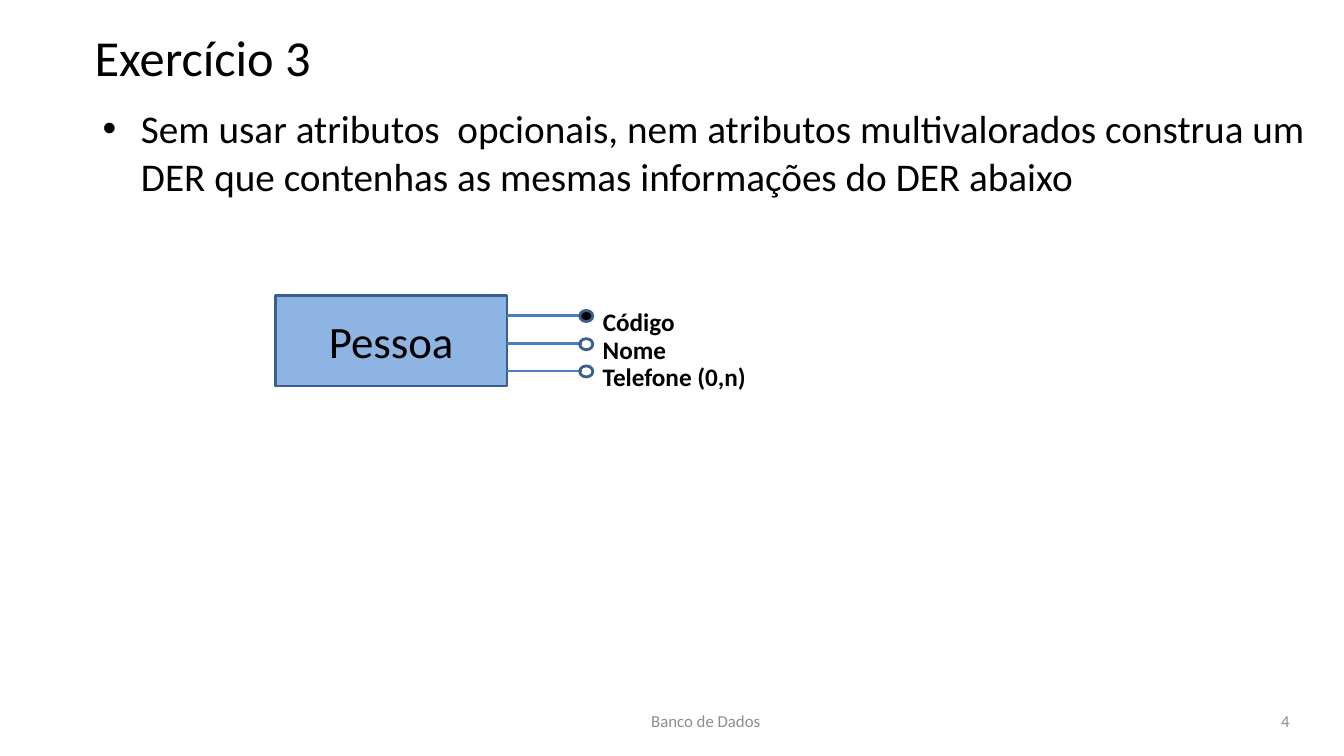
from pptx import Presentation
from pptx.dml.color import RGBColor
from pptx.enum.shapes import MSO_CONNECTOR, MSO_SHAPE
from pptx.enum.text import MSO_ANCHOR as Anchor, PP_ALIGN as Align
from pptx.oxml.ns import qn
from pptx.util import Inches, Pt
from lxml import etree

BLACK, GRAY = "000000", "8C8C8C"
ENTITY_FILL, OUTLINE, LINK = "8EB4E3", "3A5F8C", "4B7EBC"

# Attribute name, vertical centre of its link, width of its label, dot fill
ATTRIBUTES = [
    ("Código", 3.13, 0.92, BLACK),
    ("Nome", 3.41, 0.83, None),
    ("Telefone (0,n)", 3.68, 1.63, None),
]


def color(value):
    return RGBColor.from_string(value)


def set_values(target, values):
    for name, value in values.items():
        setattr(target, name, value)


def write_text(shape, text, size, font_color=BLACK, bold=False,
               align=Align.LEFT, anchor=Anchor.MIDDLE, wrap=True):
    set_values(shape.text_frame, {"word_wrap": wrap, "vertical_anchor": anchor})
    paragraph = shape.text_frame.paragraphs[0]
    paragraph.alignment = align
    run = paragraph.add_run()
    run.text = text
    set_values(run.font, {"name": "Calibri", "size": Pt(size), "bold": bold})
    run.font.color.rgb = color(font_color)
    return paragraph


def add_text(slide, box, text, size, **format_values):
    shape = slide.shapes.add_textbox(*map(Inches, box))
    return write_text(shape, text, size, **format_values)


def add_bullet(paragraph, indent):
    properties = paragraph._p.get_or_add_pPr()
    properties.set("marL", str(Inches(indent)))
    properties.set("indent", str(-Inches(indent)))
    etree.SubElement(properties, qn("a:buFont")).set("typeface", "Arial")
    etree.SubElement(properties, qn("a:buChar")).set("char", "•")


def add_outlined(slide, kind, box, fill):
    shape = slide.shapes.add_shape(kind, *map(Inches, box))
    shape.shadow.inherit = False
    if fill:
        shape.fill.solid()
        shape.fill.fore_color.rgb = color(fill)
    else:
        shape.fill.background()
    shape.line.color.rgb = color(OUTLINE)
    shape.line.width = Pt(2)
    return shape


def add_link(slide, start_x, end_x, y):
    link = slide.shapes.add_connector(
        MSO_CONNECTOR.STRAIGHT, Inches(start_x), Inches(y), Inches(end_x), Inches(y))
    link.line.color.rgb = color(LINK)
    link.line.width = Pt(2)
    etree.SubElement(link._element.spPr, qn("a:effectLst"))


def add_attribute(slide, name, y, width, fill):
    add_link(slide, 5.77, 5.03, y)
    add_outlined(slide, MSO_SHAPE.FLOWCHART_CONNECTOR, (5.75, y - 0.05, 0.13, 0.11), fill)
    add_text(slide, (5.88, y - 0.14, width, 0.4), name, 18,
             bold=True, anchor=Anchor.TOP, wrap=False)


def main():
    presentation = Presentation()
    set_values(presentation, {"slide_width": Inches(13.33), "slide_height": Inches(7.5)})
    slide = presentation.slides.add_slide(presentation.slide_layouts[6])

    # Title and footer
    add_text(slide, (0.84, 0.05, 10.71, 1.02), "Exercício 3", 36)
    add_text(slide, (4.89, 6.95, 4.22, 0.4), "Banco de Dados", 12,
             font_color=GRAY, align=Align.CENTER)
    add_text(slide, (9.78, 6.95, 3.11, 0.4), "4", 12,
             font_color=GRAY, align=Align.RIGHT)

    # Exercise statement
    statement = add_text(
        slide, (0.92, 0.99, 12.21, 1.65),
        "Sem usar atributos  opcionais, nem atributos multivalorados construa um "
        "DER que contenhas as mesmas informações do DER abaixo",
        28, anchor=Anchor.TOP)
    add_bullet(statement, 0.38)

    # Entity with its attributes
    entity = add_outlined(slide, MSO_SHAPE.RECTANGLE, (2.73, 2.93, 2.3, 0.9), ENTITY_FILL)
    write_text(entity, "Pessoa", 32, align=Align.CENTER)
    for attribute in ATTRIBUTES:
        add_attribute(slide, *attribute)

    presentation.save("out.pptx")


if __name__ == "__main__":
    main()
